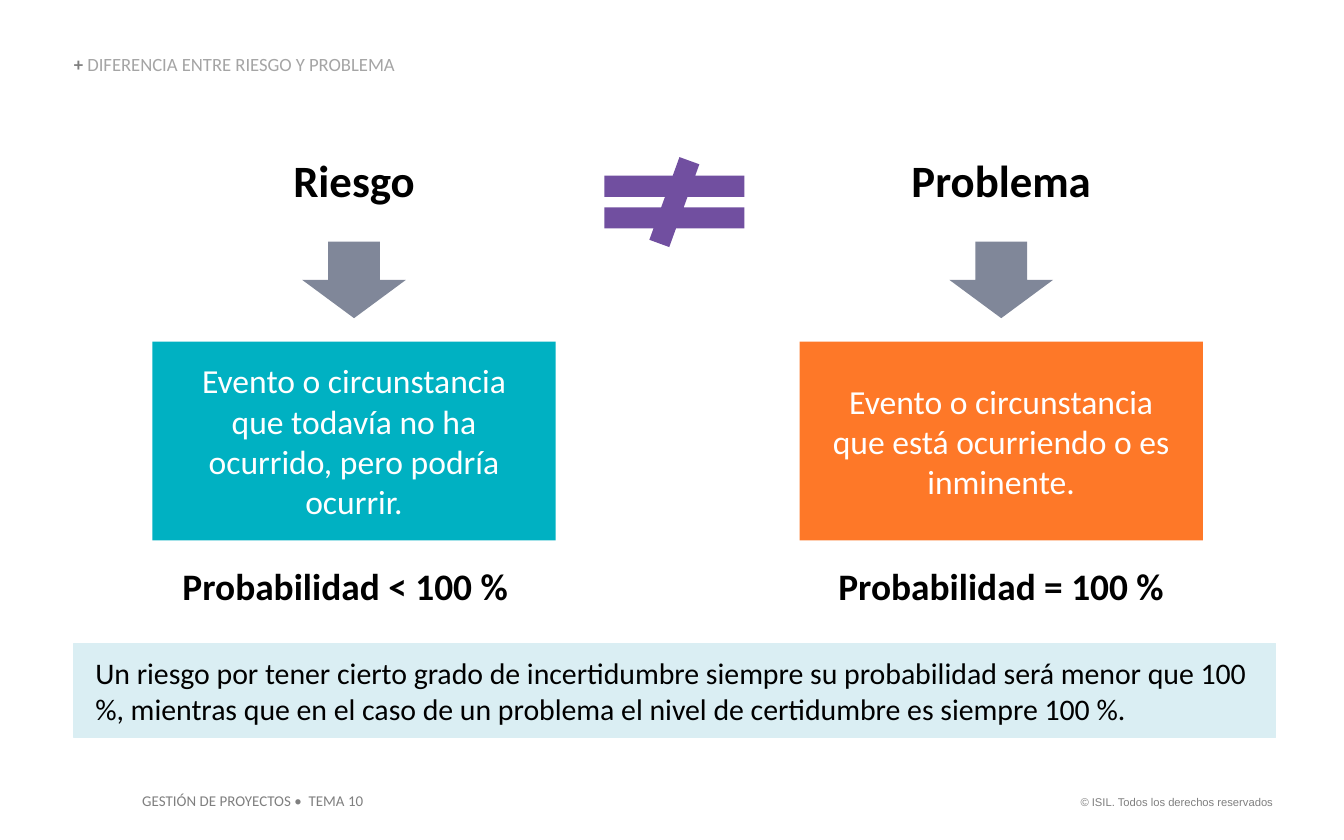
import pptx
import pptx.dml.color
import pptx.enum.shapes
import pptx.enum.text
import pptx.util

Pt = pptx.util.Pt
SHAPE = pptx.enum.shapes.MSO_SHAPE
ALIGN = pptx.enum.text.PP_ALIGN
ANCHOR = pptx.enum.text.MSO_ANCHOR

COLORS = {
    "black": "000000",
    "white": "FFFFFF",
    "gray": "7F7F7F",
    "light_gray": "A5A5A5",
    "arrow": "808799",
    "teal": "00B1C2",
    "orange": "FE7828",
    "purple": "714FA0",
    "pale_blue": "DAEEF3",
}


def rgb(name):
    return pptx.dml.color.RGBColor.from_string(COLORS[name])


def write_text(shape, text, size=18, color="black", bold=False, font="Calibri",
               align=ALIGN.LEFT, anchor=ANCHOR.TOP, insets=(7.2, 3.6, 7.2, 3.6),
               line_spacing=None):
    """Fill a shape with one paragraph; text is a string or (text, color, bold) runs."""
    frame = shape.text_frame
    frame.word_wrap = True
    frame.auto_size = pptx.enum.text.MSO_AUTO_SIZE.NONE
    frame.vertical_anchor = anchor
    (frame.margin_left, frame.margin_top,
     frame.margin_right, frame.margin_bottom) = map(Pt, insets)
    paragraph = frame.paragraphs[0]
    paragraph.alignment = align
    if line_spacing:
        paragraph.line_spacing = line_spacing
    runs = [(text, color, bold)] if isinstance(text, str) else text
    for content, run_color, run_bold in runs:
        run = paragraph.add_run()
        run.text = content
        run.font.name = font
        run.font.size = Pt(size)
        run.font.bold = run_bold
        run.font.color.rgb = rgb(run_color)


class SlideBuilder:
    """Holds the current slide and draws each kind of element in points."""

    def __init__(self, slide):
        self.slide = slide

    def title(self, box, runs, **style):
        shape = self.slide.shapes.title
        shape.left, shape.top, shape.width, shape.height = map(Pt, box)
        write_text(shape, runs, **style)

    def label(self, box, text, **style):
        write_text(self.slide.shapes.add_textbox(*map(Pt, box)), text, **style)

    def block(self, kind, box, fill, line=None, text=None, **style):
        shape = self.slide.shapes.add_shape(kind, *map(Pt, box))
        shape.shadow.inherit = False
        shape.fill.solid()
        shape.fill.fore_color.rgb = rgb(fill)
        if line:
            shape.line.color.rgb = rgb(line)
            shape.line.width = Pt(0.75)
        else:
            shape.line.fill.background()
        if text:
            write_text(shape, text, **style)


def main():
    presentation = pptx.Presentation()
    presentation.slide_width, presentation.slide_height = Pt(720), Pt(450)
    builder = SlideBuilder(presentation.slides.add_slide(presentation.slide_layouts[5]))

    # Title
    builder.title((39.6, 29.5, 191.5, 10.8),
                  [("+ ", "gray", True),
                   ("DIFERENCIA ENTRE RIESGO Y PROBLEMA", "light_gray", False)],
                  size=10, anchor=ANCHOR.BOTTOM, insets=(0, 0, 0, 0), line_spacing=0.9)

    # Two compared columns: centre, heading, fill, definition, probability and its centre
    columns = [
        (189.7, "Riesgo", "teal",
         "Evento o circunstancia que todavía no ha ocurrido, pero podría ocurrir.",
         "Probabilidad < 100 %", 185),
        (536.4, "Problema", "orange",
         "Evento o circunstancia que está ocurriendo o es inminente.",
         "Probabilidad = 100 %", 536.4),
    ]
    for center, heading, fill, definition, probability, probability_center in columns:
        builder.label((center - 127.5, 78.5, 255, 36), heading,
                      size=24, bold=True, align=ALIGN.CENTER)
        builder.block(SHAPE.DOWN_ARROW, (center - 27.75, 129.5, 55.5, 41), "arrow")
        builder.block(SHAPE.RECTANGLE, (center - 108, 183, 216, 106.5), fill,
                      text=definition, color="white", align=ALIGN.CENTER,
                      anchor=ANCHOR.MIDDLE, insets=(11.5, 3.6, 11.5, 3.6))
        builder.label((probability_center - 136, 298, 272, 31.5), probability,
                      size=20, bold=True, align=ALIGN.CENTER)

    # Not-equal sign between the columns
    builder.block(SHAPE.MATH_NOT_EQUAL, (310.3, 84.2, 102, 48.2), "purple")

    # Conclusion
    builder.block(SHAPE.RECTANGLE, (39.6, 344.9, 643.7, 50.4), "pale_blue", line="pale_blue",
                  text="Un riesgo por tener cierto grado de incertidumbre siempre su "
                       "probabilidad será menor que 100 %, mientras que en el caso de un "
                       "problema el nivel de certidumbre es siempre 100 %.",
                  size=16, insets=(11.5, 5.76, 8.64, 5.76))

    # Footer
    builder.label((69.1, 420.5, 133.2, 17.3), "GESTIÓN DE PROYECTOS •  TEMA 10",
                  size=8, color="gray")
    builder.label((569.5, 422.6, 119.5, 14.4), "© ISIL. Todos los derechos reservados",
                  size=6, color="gray", font="Arial", align=ALIGN.RIGHT)

    presentation.save("out.pptx")


if __name__ == "__main__":
    main()
